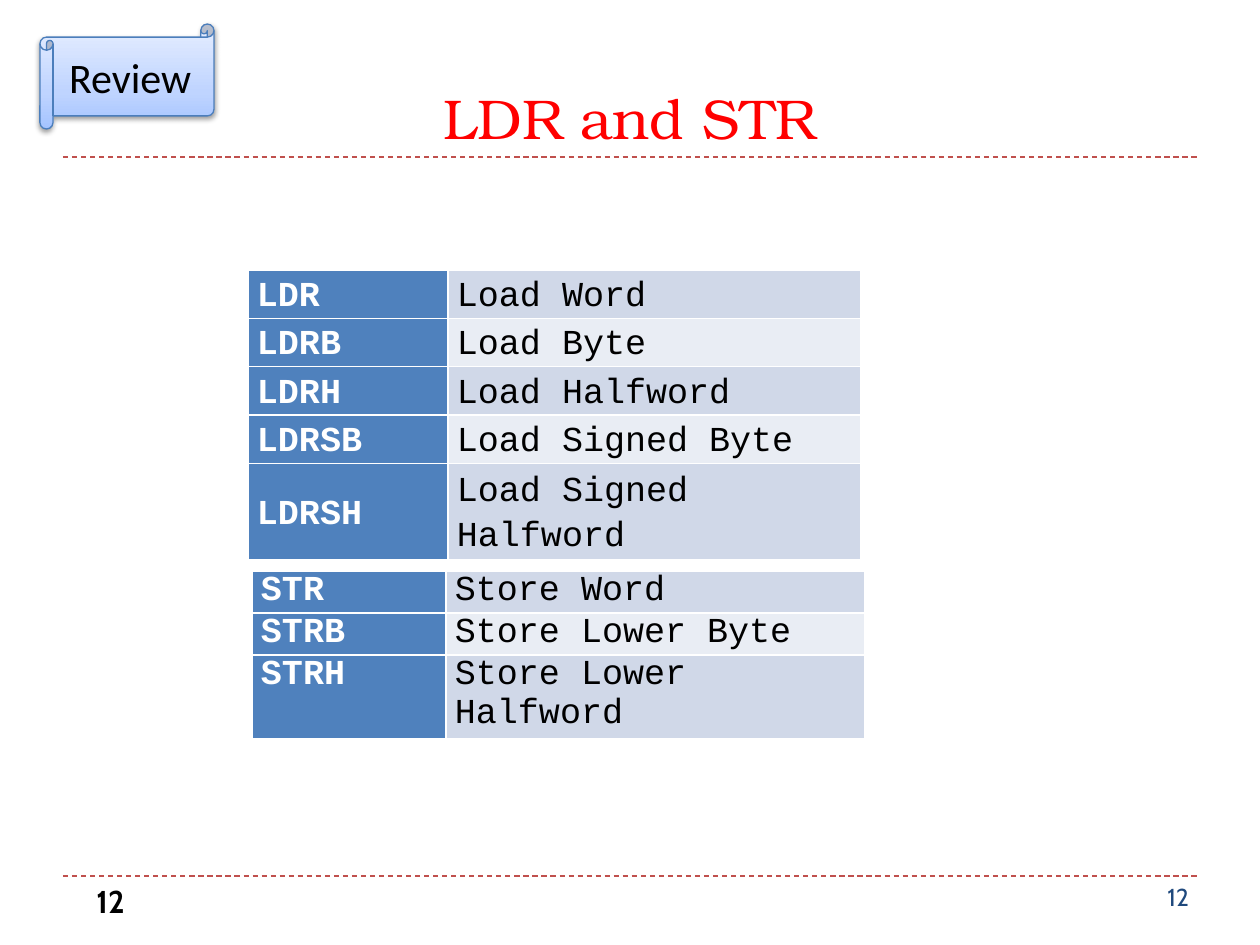
from copy import deepcopy
from lxml.etree import SubElement
from pptx import Presentation
from pptx.dml.color import RGBColor
from pptx.enum.dml import MSO_LINE
from pptx.enum.shapes import MSO_CONNECTOR, MSO_SHAPE
from pptx.enum.text import MSO_ANCHOR, PP_ALIGN
from pptx.oxml import parse_xml
from pptx.oxml.ns import nsdecls, qn
from pptx.util import Pt

SCALE = 914400 // 126
BLACK = RGBColor(0x00, 0x00, 0x00)
WHITE = RGBColor(0xFF, 0xFF, 0xFF)
RED = RGBColor(0xFF, 0x00, 0x00)
NAVY = RGBColor(0x1F, 0x49, 0x7D)
RULE_RED = RGBColor(0xC0, 0x50, 0x4D)
HEADING_BLUE = RGBColor(0x4F, 0x81, 0xBD)
BANDS = (RGBColor(0xD0, 0xD8, 0xE8), RGBColor(0xE9, 0xED, 0xF4))
SCROLL_OUTLINE = RGBColor(0x4B, 0x7E, 0xBC)
SCROLL_STOPS = (
    (0, RGBColor(0xA4, 0xC4, 0xFF)),
    (0.35, RGBColor(0xBF, 0xD4, 0xFF)),
    (1, RGBColor(0xE6, 0xEE, 0xFF)),
)

LOADS = (
    ("LDR", "Load Word"),
    ("LDRB", "Load Byte"),
    ("LDRH", "Load Halfword"),
    ("LDRSB", "Load Signed Byte"),
    ("LDRSH", "Load Signed Halfword"),
)
STORES = (
    ("STR", "Store Word"),
    ("STRB", "Store Lower Byte"),
    ("STRH", "Store Lower Halfword"),
)


def px(*lengths):
    return [length * SCALE for length in lengths]


def apply_format(target, values):
    for name, value in values.items():
        setattr(target, name, value)


def write_text(text_frame, text, color, font, paragraph_format=None):
    paragraph = text_frame.paragraphs[0]
    apply_format(paragraph, paragraph_format or {})
    run = paragraph.add_run()
    run.text = text
    apply_format(run.font, font)
    run.font.color.rgb = color


def add_text(slide, box, text, color, font, anchor=MSO_ANCHOR.TOP, align=PP_ALIGN.LEFT):
    text_frame = slide.shapes.add_textbox(*px(*box)).text_frame
    apply_format(text_frame, {"word_wrap": True, "vertical_anchor": anchor})
    write_text(text_frame, text, color, font, {"alignment": align})


def add_rule(slide, top):
    rule = slide.shapes.add_connector(MSO_CONNECTOR.STRAIGHT, *px(63, top, 1197, top))
    apply_format(rule.line, {"width": Pt(0.75), "dash_style": MSO_LINE.DASH})
    rule.line.color.rgb = RULE_RED
    SubElement(rule._element.spPr, qn("a:effectLst"))


def add_borders(cell):
    properties = cell._tc.get_or_add_tcPr()
    for side in ("lnL", "lnR", "lnT", "lnB"):
        properties.append(parse_xml(
            f'<a:{side} {nsdecls("a")} w="12700"><a:solidFill>'
            f'<a:srgbClr val="{WHITE}"/></a:solidFill></a:{side}>'
        ))


def add_instruction_table(slide, position, widths, heights, instructions, anchor, spacing):
    box = (*position, sum(widths), sum(heights))
    table = slide.shapes.add_table(len(heights), len(widths), *px(*box)).table
    apply_format(table, {"first_row": False, "horz_banding": False})
    for column, width in zip(table.columns, px(*widths)):
        column.width = width
    for row, height in zip(table.rows, px(*heights)):
        row.height = height
    margin, = px(9)
    cell_format = {
        "margin_left": margin, "margin_right": margin,
        "margin_top": 0, "margin_bottom": 0, "vertical_anchor": anchor,
    }
    for row, texts in enumerate(instructions):
        styles = ((HEADING_BLUE, WHITE, True), (BANDS[row % 2], BLACK, False))
        for column, (fill, color, bold) in enumerate(styles):
            cell = table.cell(row, column)
            apply_format(cell, cell_format)
            add_borders(cell)
            cell.fill.solid()
            cell.fill.fore_color.rgb = fill
            font = {"name": "Courier New", "size": Pt(20), "bold": bold}
            write_text(cell.text_frame, texts[column], color, font, {"line_spacing": spacing})


def add_scroll(slide, box, text):
    scroll = slide.shapes.add_shape(MSO_SHAPE.HORIZONTAL_SCROLL, *px(*box))
    scroll.fill.gradient()
    scroll.fill.gradient_angle = 90
    stop_list = scroll._element.spPr.find(f'.//{qn("a:gsLst")}')
    stop_list.append(deepcopy(stop_list[-1]))
    for stop, (position, color) in zip(scroll.fill.gradient_stops, SCROLL_STOPS):
        stop.position = position
        stop.color.rgb = color
    scroll.line.width = Pt(0.75)
    scroll.line.color.rgb = SCROLL_OUTLINE
    scroll.shadow.inherit = False
    scroll._element.spPr.find(qn("a:effectLst")).append(parse_xml(
        f'<a:outerShdw {nsdecls("a")} blurRad="39370" dist="20320" dir="5400000" '
        f'rotWithShape="0"><a:srgbClr val="{BLACK}"><a:alpha val="38000"/>'
        '</a:srgbClr></a:outerShdw>'
    ))
    scroll.text_frame.vertical_anchor = MSO_ANCHOR.MIDDLE
    write_text(scroll.text_frame, text, BLACK, {"name": "Calibri", "size": Pt(24)},
               {"alignment": PP_ALIGN.CENTER})


def main():
    presentation = Presentation()
    presentation.slide_width, presentation.slide_height = px(1260, 945)
    slide = presentation.slides.add_slide(presentation.slide_layouts[6])
    for top in (876, 157):
        add_rule(slide, top)
    add_text(slide, (1155, 876, 105, 50), "12", NAVY, {"name": "Cabin", "size": Pt(14)})
    add_text(slide, (63, 21, 1134, 136), "LDR and STR", RED,
             {"name": "TeX Gyre Bonum", "size": Pt(32)}, MSO_ANCHOR.BOTTOM, PP_ALIGN.CENTER)
    add_text(slide, (84, 876, 273, 50), "12", BLACK,
             {"name": "Cabin", "size": Pt(18), "bold": True})
    add_instruction_table(slide, (248, 270), (200, 413), (45, 45, 45, 45, 90),
                          LOADS, MSO_ANCHOR.MIDDLE, 1.15)
    add_instruction_table(slide, (252, 571), (194, 419), (39, 39, 79),
                          STORES, MSO_ANCHOR.TOP, 1.0)
    add_scroll(slide, (40, 24, 174, 105), "Review")
    presentation.save("out.pptx")


if __name__ == "__main__":
    main()
